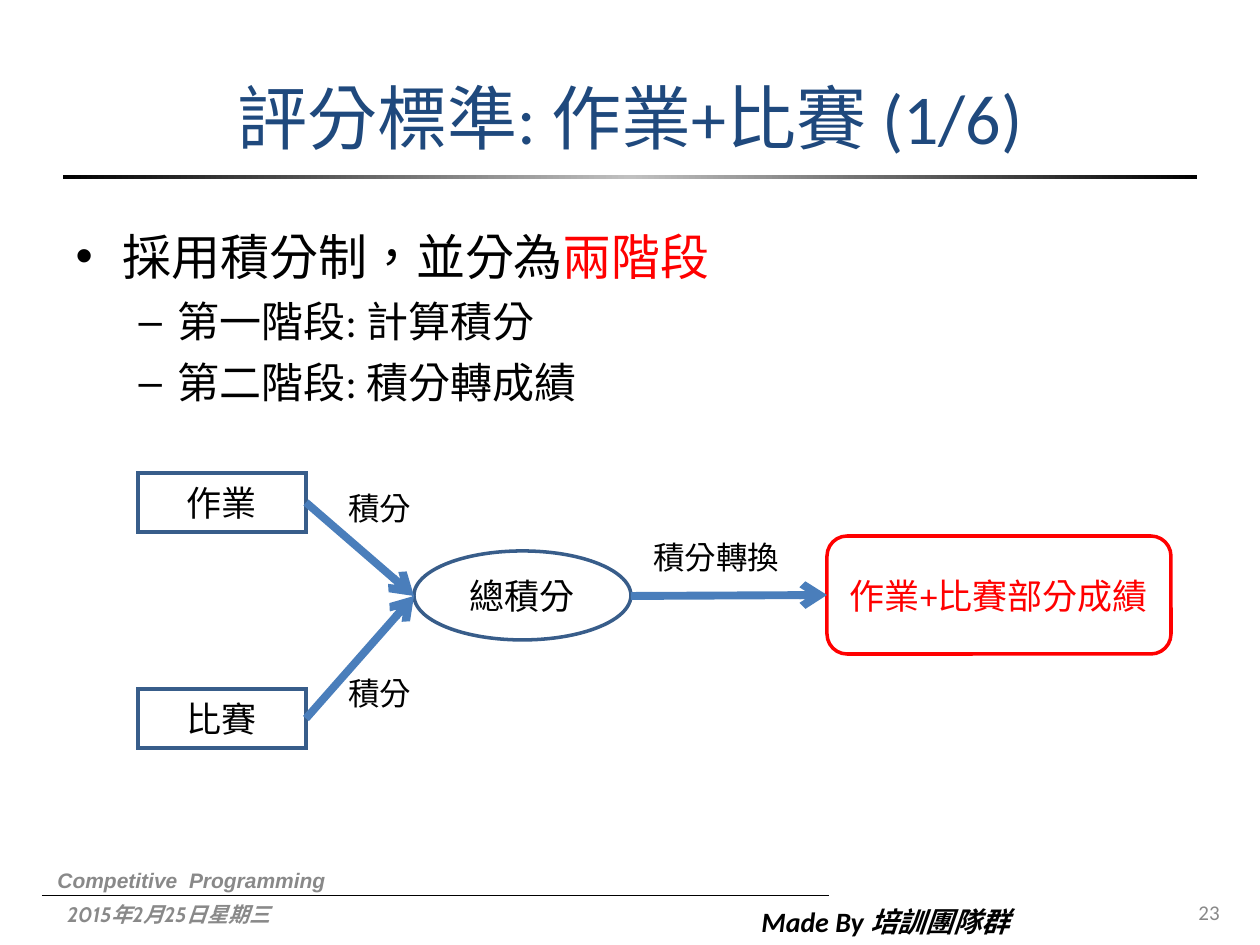
import copy
import pptx
import pptx.util
import pptx.dml.color
import pptx.enum.lang
import pptx.enum.shapes
import pptx.enum.text
import pptx.oxml.ns

SCALE = 914400 / 126  # EMU in one px
BLACK, GREY, RED = "000000", "898989", "FF0000"
EDGE, ARROW = "385D8A", "4A7EBB"
KIND = pptx.enum.shapes.MSO_SHAPE
ALIGN = pptx.enum.text.PP_ALIGN
MID = pptx.enum.text.MSO_ANCHOR.MIDDLE
TOP = pptx.enum.text.MSO_ANCHOR.TOP
TONGUE = pptx.enum.lang.MSO_LANGUAGE_ID.TRADITIONAL_CHINESE


def px(n):
    return pptx.util.Emu(round(n * SCALE))


def rgb(code):
    return pptx.dml.color.RGBColor.from_string(code)


def add_tag(parent, tag, **attrs):
    parent.append(parent.makeelement(pptx.oxml.ns.qn(tag), attrs))


def place(shape, box):
    shape.left, shape.top, shape.width, shape.height = map(px, box)


def add_run(para, text, size, color=BLACK, font="Calibri", slant=False):
    run = para.add_run()
    run.text = text
    face = run.font
    face.name, face.size = font, pptx.util.Pt(size)
    face.language_id = TONGUE
    face.color.rgb = rgb(color)
    if slant:
        face.bold = face.italic = True


def add_text(slide, box, text, size, color=BLACK, font="Calibri",
             slant=False, wrap=True, anchor=TOP, align=ALIGN.LEFT):
    frame = slide.shapes.add_textbox(*map(px, box)).text_frame
    frame.word_wrap = wrap
    frame.vertical_anchor = anchor
    para = frame.paragraphs[0]
    para.alignment = align
    add_run(para, text, size, color, font, slant)


def add_node(slide, kind, box, text, edge=EDGE, color=BLACK):
    node = slide.shapes.add_shape(kind, *map(px, box))
    node.shadow.inherit = False
    node.fill.background()
    node.line.color.rgb = rgb(edge)
    node.line.width = pptx.util.Pt(2)
    add_tag(node._element.spPr.find(pptx.oxml.ns.qn("a:ln")),
            "a:miter", lim="800000")
    frame = node.text_frame
    frame.word_wrap = True
    frame.vertical_anchor = MID
    para = frame.paragraphs[0]
    para.alignment = ALIGN.CENTER
    add_run(para, text, 20, color)
    return node


def add_line(slide, ends, color, width):
    line = slide.shapes.add_connector(
        pptx.enum.shapes.MSO_CONNECTOR.STRAIGHT, *map(px, ends))
    line.line.color.rgb = rgb(color)
    line.line.width = pptx.util.Pt(width)
    add_tag(line._element.spPr, "a:effectLst")
    return line


def add_arrow(slide, ends):
    line = add_line(slide, ends, ARROW, 4.5)
    add_tag(line._element.spPr.find(pptx.oxml.ns.qn("a:ln")),
            "a:tailEnd", type="arrow")
    return line


def add_rule(slide, box):
    rule = slide.shapes.add_shape(KIND.RECTANGLE, *map(px, box))
    rule.shadow.inherit = False
    rule.line.fill.background()
    rule.fill.gradient()
    rule.fill.gradient_angle = 0
    stops = rule._element.spPr.find(".//" + pptx.oxml.ns.qn("a:gsLst"))
    stops.insert(1, copy.deepcopy(stops[0]))
    marks = [(0, BLACK), (0.5, "C0C0C0"), (1, BLACK)]
    for stop, (spot, color) in zip(rule.fill.gradient_stops, marks):
        stop.position = spot
        stop.color.rgb = rgb(color)


def fill_title(slide):
    title = slide.shapes.title
    place(title, (63, 38, 1134, 158))
    title.text_frame.vertical_anchor = MID
    para = title.text_frame.paragraphs[0]
    para.alignment = ALIGN.CENTER
    add_run(para, "評分標準: 作業+比賽 (1/6)", 40, "1F497D")


def fill_body(slide):
    body = slide.placeholders[1]
    place(body, (63, 220, 1134, 624))
    frame = body.text_frame
    frame.auto_size = pptx.enum.text.MSO_AUTO_SIZE.NONE
    # level, space before, left indent, hanging indent, size, runs
    items = [
        (0, 0, 47, 47, 28, [("採用積分制，並分為", BLACK), ("兩階段", RED)]),
        (1, 6, 102, 39, 24, [("第一階段: 計算積分", BLACK)]),
        (1, 6, 102, 39, 24, [("第二階段: 積分轉成績", BLACK)]),
    ]
    for i, (level, gap, left, hang, size, runs) in enumerate(items):
        para = frame.add_paragraph() if i else frame.paragraphs[0]
        para.level = level
        para.space_before = pptx.util.Pt(gap)
        props = para._p.get_or_add_pPr()
        props.set("marL", str(px(left)))
        props.set("indent", str(px(-hang)))
        for text, color in runs:
            add_run(para, text, size, color)


def draw_flow(slide):
    add_node(slide, KIND.OVAL, (414, 551, 217, 89), "總積分")
    grade = add_node(slide, KIND.ROUNDED_RECTANGLE, (827, 536, 344, 118),
                     "作業+比賽部分成績", RED, RED)
    grade.adjustments[0] = 0.17

    # Two sources feed the total
    for top, text, high in [(473, "作業", 483), (689, "比賽", 668)]:
        source = add_node(slide, KIND.RECTANGLE, (138, top, 168, 59), text)
        arrow = add_arrow(slide, (306, top + 30, 414, 596))
        arrow.begin_connect(source, 3)
        add_text(slide, (336, high, 88, 50), "積分", 18, font="Arial",
                 wrap=False)

    # The total becomes the grade
    arrow = add_arrow(slide, (631, 596, 827, 595))
    arrow.end_connect(grade, 1)
    add_text(slide, (641, 532, 151, 50), "積分轉換", 18, font="Arial",
             wrap=False)


def draw_foot(slide):
    add_line(slide, (42, 895, 829, 895), BLACK, 0.5)
    add_text(slide, (749, 898, 387, 47), "Made By 培訓團隊群", 16, slant=True)
    add_text(slide, (45, 861, 536, 38), "Competitive  Programming", 12, GREY,
             "Arial", slant=True)
    add_text(slide, (55, 889, 328, 50), "2015年2月25日星期三", 12, GREY,
             "Cabin", slant=True, anchor=MID)
    add_text(slide, (938, 879, 294, 66), "23", 12, GREY, anchor=MID,
             align=ALIGN.RIGHT)


def main():
    deck = pptx.Presentation()
    deck.slide_width, deck.slide_height = px(1260), px(945)
    slide = deck.slides.add_slide(deck.slide_layouts[1])
    add_rule(slide, (63, 175, 1134, 4))
    fill_title(slide)
    fill_body(slide)
    draw_flow(slide)
    draw_foot(slide)
    deck.save("out.pptx")


if __name__ == "__main__":
    main()
